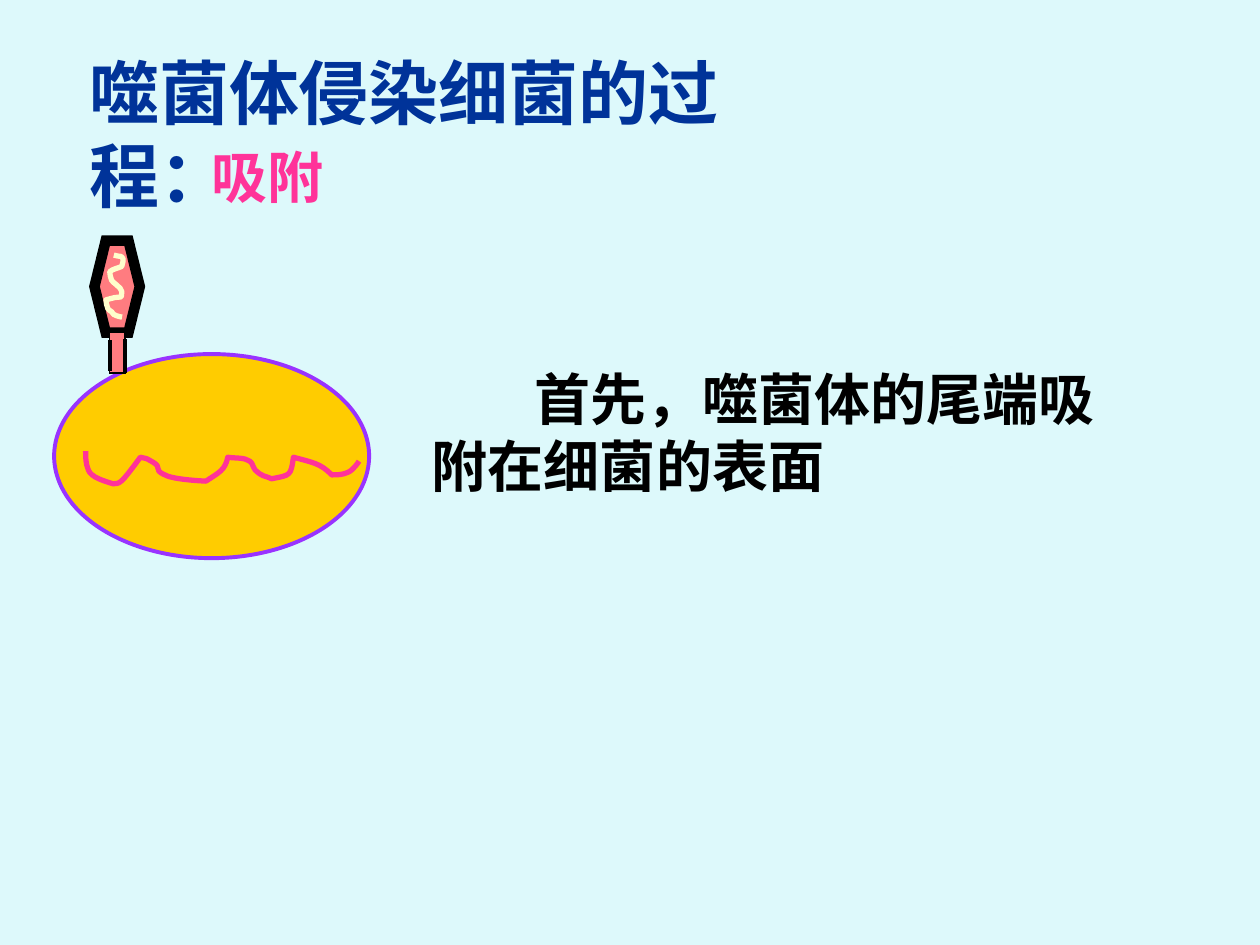
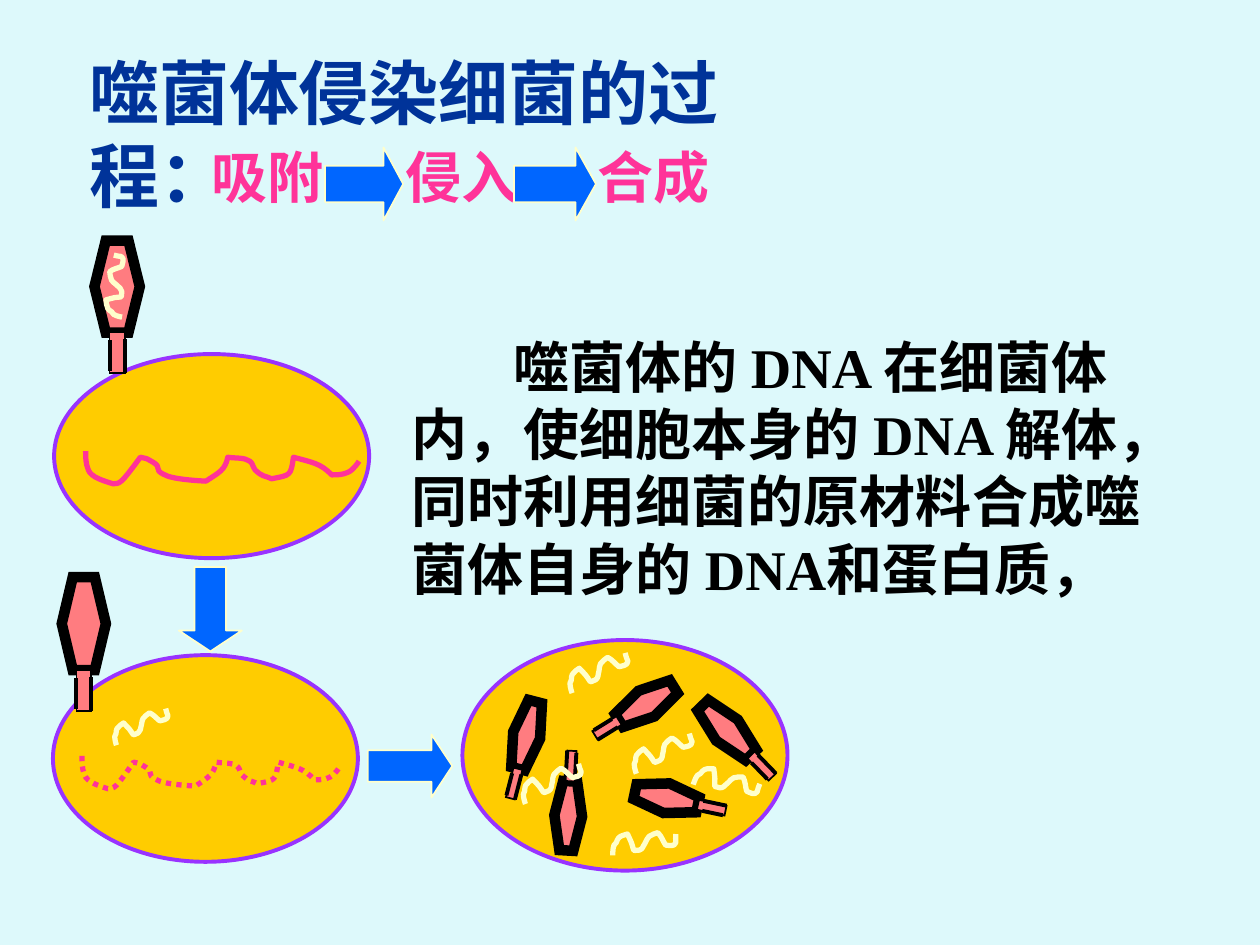
import math
from dataclasses import dataclass

import lxml.etree
import pptx
import pptx.dml.color
import pptx.enum.dml
import pptx.enum.shapes
import pptx.enum.text
import pptx.oxml.ns
import pptx.util
from pptx.util import Inches

SHAPES = pptx.enum.shapes.MSO_SHAPE
FONT = "Times New Roman"
BACKGROUND, TITLE_BLUE, PINK, BLACK = "DDF9FB", "003399", "FF3399", "000000"
CELL_YELLOW, MEMBRANE, PROTEIN = "FFCC00", "9933FF", "FF7C80"
ARROW_BLUE, CREAM = "0066FF", "FFFFCC"
BODY_INDENT = 0.81

# Bezier points as fractions of the strand's box: a start, then three per curve.
PHAGE_STRAND = [
    (0, 0.64),
    (0.01, 0.52), (0.02, 0.34), (0.02, 0.22),
    (0.05, 0), (0.14, 0.15), (0.18, 0.17),
    (0.21, 0.37), (0.22, 0.63), (0.27, 0.84),
    (0.31, 0.8), (0.37, 0.82), (0.41, 0.72),
    (0.43, 0.67), (0.46, 0.55), (0.48, 0.44),
    (0.53, 0.27), (0.53, 0.15), (0.59, 0.12),
    (0.71, 0.17), (0.66, 0.02), (0.69, 0.54),
    (0.7, 0.68), (0.73, 1), (0.73, 1),
    (0.77, 0.96), (0.83, 0.99), (0.87, 0.88),
    (0.89, 0.89), (0.9, 0.71), (0.92, 0.66),
    (0.94, 0.6), (0.96, 0.55), (0.96, 0.55),
    (0.99, 0.37), (1, 0.06), (1, 0.06),
]
BACTERIUM_STRAND = [
    (0, 0),
    (0, 0.19), (0, 0.38), (0.01, 0.58),
    (0.02, 0.81), (0.07, 0.92), (0.1, 1),
    (0.11, 1), (0.12, 1), (0.13, 0.92),
    (0.14, 0.88), (0.19, 0.31), (0.2, 0.19),
    (0.22, 0.23), (0.23, 0.23), (0.24, 0.31),
    (0.29, 0.54), (0.24, 0.54), (0.29, 0.73),
    (0.32, 0.88), (0.44, 0.92), (0.44, 0.92),
    (0.49, 0.65), (0.51, 0.58), (0.52, 0.19),
    (0.55, 0.23), (0.58, 0.19), (0.6, 0.31),
    (0.61, 0.35), (0.61, 0.46), (0.62, 0.58),
    (0.65, 0.81), (0.65, 0.73), (0.68, 0.85),
    (0.75, 0.73), (0.75, 0.77), (0.76, 0.19),
    (0.83, 0.35), (0.86, 0.38), (0.9, 0.73),
    (0.92, 0.73), (0.94, 0.73), (0.96, 0.65),
    (0.98, 0.58), (1, 0.31), (1, 0.31),
]


@dataclass
class Box:
    left: float
    top: float
    width: float
    height: float
    rotation: float = 0

    def lengths(self) -> list:
        return [Inches(v) for v in (self.left, self.top, self.width, self.height)]

    def point(self, across: float, down: float) -> tuple[float, float]:
        """Slide position of a fraction of the box, with rotation applied."""
        x, y = (across - 0.5) * self.width, (down - 0.5) * self.height
        angle = math.radians(self.rotation)
        return (self.left + self.width / 2 + x * math.cos(angle) - y * math.sin(angle),
                self.top + self.height / 2 + x * math.sin(angle) + y * math.cos(angle))


@dataclass
class Strand:
    box: Box
    fill: str | None = None


@dataclass
class Bacterium:
    body: Box
    phage: Box
    dna: Box
    phage_strand: Strand
    dissolving: bool = False


@dataclass
class Arrow:
    kind: SHAPES
    box: Box
    head: float


ADSORBED = Bacterium(Box(0.43, 2.81, 2.5, 1.62), Box(0.75, 1.91, 0.36, 0.73),
                     Box(0.68, 3.58, 2.17, 0.26),
                     Strand(Box(0.67, 2.2, 0.49, 0.14, 91.8), PROTEIN))
INVADED = Bacterium(Box(0.42, 5.2, 2.42, 1.64), Box(0.49, 4.58, 0.35, 0.74),
                    Box(0.65, 6, 2.05, 0.26),
                    Strand(Box(0.87, 5.68, 0.48, 0.14, 152.9)), dissolving=True)
SYNTHESIS_BODY = Box(3.67, 5.08, 2.58, 1.83)
NEW_PHAGES = [
    Box(4.07, 5.56, 0.22, 0.55, 14.4),
    Box(5.17, 6.08, 0.24, 0.51, 281.9),
    Box(5.65, 5.52, 0.24, 0.55, 316),
    Box(4.4, 6.2, 0.22, 0.55, 183.2),
    Box(5.01, 5.33, 0.24, 0.51, 58.3),
]
NEW_STRANDS = [Strand(Box(left, top, 0.52, 0.16, rotation)) for left, top, rotation in [
    (4.48, 5.24, 152.9), (4.99, 5.88, 152.9), (4.85, 6.6, 171.4),
    (5.51, 6.12, 189.4), (4.11, 6.12, 152.9)]]
ARROWS = [
    Arrow(SHAPES.RIGHT_ARROW, Box(2.58, 1.17, 0.62, 0.58), 0.27),
    Arrow(SHAPES.RIGHT_ARROW, Box(4.08, 1.17, 0.65, 0.58), 0.28),
    Arrow(SHAPES.DOWN_ARROW, Box(1.42, 4.5, 0.5, 0.67), 0.33),
    Arrow(SHAPES.RIGHT_ARROW, Box(2.92, 5.83, 0.67, 0.5), 0.33),
]
STAGES = [("吸附", 1.58), ("侵入", 3.12), ("合成", 4.64)]


def color(value: str) -> pptx.dml.color.RGBColor:
    return pptx.dml.color.RGBColor.from_string(value)


def style(shape, fill: str | None, line: str, width: float) -> None:
    shape.shadow.inherit = False
    if fill:
        shape.fill.solid()
        shape.fill.fore_color.rgb = color(fill)
    else:
        shape.fill.background()
    shape.line.color.rgb = color(line)
    shape.line.width = pptx.util.Pt(width)


def add_shape(slide, kind: SHAPES, box: Box, fill: str, line: str, width: float):
    shape = slide.shapes.add_shape(kind, *box.lengths())
    shape.rotation = box.rotation
    style(shape, fill, line, width)
    return shape


def sharpen_corners(shape) -> None:
    outline = shape.line._get_or_add_ln()
    lxml.etree.SubElement(outline, pptx.oxml.ns.qn("a:miter"), lim="800000")


def add_line(slide, start: tuple[float, float], end: tuple[float, float]) -> None:
    line = slide.shapes.add_connector(pptx.enum.shapes.MSO_CONNECTOR.STRAIGHT,
                                      *(Inches(v) for v in (*start, *end)))
    line.line.color.rgb = color(BLACK)
    line.line.width = pptx.util.Pt(2.25)
    properties = line._element.spPr
    lxml.etree.SubElement(properties, pptx.oxml.ns.qn("a:effectLst"))


def bend_segments(shape) -> None:
    """Turn each three straight segments of a freeform into one cubic Bezier."""
    segments = list(shape._element.iter(pptx.oxml.ns.qn("a:lnTo")))
    outline = segments[0].getparent()
    for first in range(0, len(segments), 3):
        curve = lxml.etree.SubElement(outline, pptx.oxml.ns.qn("a:cubicBezTo"))
        for segment in segments[first:first + 3]:
            curve.append(segment[0])
            outline.remove(segment)


def add_strand(slide, strand: Strand, points: list, line: str):
    box = strand.box
    start, *rest = [(Inches(box.left + across * box.width), Inches(box.top + down * box.height))
                    for across, down in points]
    builder = slide.shapes.build_freeform(*start)
    builder.add_line_segments(rest, close=False)
    shape = builder.convert_to_shape()
    bend_segments(shape)
    shape.rotation = box.rotation
    style(shape, strand.fill, line, 3)
    return shape


def add_phage(slide, capsid: Box) -> None:
    """Draw the capsid and, below it along its axis, a tail with two side lines."""
    sharpen_corners(add_shape(slide, SHAPES.HEXAGON, capsid, PROTEIN, BLACK, 6))
    width, height = capsid.width / 3, capsid.height * 0.44
    center_x, center_y = capsid.point(0.5, 1.22)
    tail = Box(center_x - width / 2, center_y - height / 2, width, height, capsid.rotation)
    sharpen_corners(add_shape(slide, SHAPES.RECTANGLE, tail, PROTEIN, BLACK, 1))
    for side, start, end in [(0, 0.19, 0.94), (1, 0.16, 1)]:
        add_line(slide, tail.point(side, start), tail.point(side, end))


def add_body(slide, box: Box) -> None:
    add_shape(slide, SHAPES.OVAL, box, CELL_YELLOW, MEMBRANE, 2.25)


def add_bacterium(slide, bacterium: Bacterium) -> None:
    add_body(slide, bacterium.body)
    add_phage(slide, bacterium.phage)
    add_strand(slide, bacterium.phage_strand, PHAGE_STRAND, CREAM)
    dna = add_strand(slide, Strand(bacterium.dna), BACTERIUM_STRAND, PINK)
    if bacterium.dissolving:
        dna.line.dash_style = pptx.enum.dml.MSO_LINE.ROUND_DOT


def add_synthesis(slide) -> None:
    add_body(slide, SYNTHESIS_BODY)
    for phage in NEW_PHAGES:
        add_phage(slide, phage)
    for strand in NEW_STRANDS:
        add_strand(slide, strand, PHAGE_STRAND, CREAM)


def add_arrow(slide, arrow: Arrow) -> None:
    shape = add_shape(slide, arrow.kind, arrow.box, ARROW_BLUE, CREAM, 1)
    shape.adjustments[0] = 0.5
    shape.adjustments[1] = arrow.head


def add_text(slide, text: str, box: Box, size: float, ink: str,
             wrap: bool = True, indent: float = 0) -> None:
    frame = slide.shapes.add_textbox(*box.lengths()).text_frame
    frame.word_wrap = wrap
    frame.auto_size = pptx.enum.text.MSO_AUTO_SIZE.SHAPE_TO_FIT_TEXT
    paragraph = frame.paragraphs[0]
    paragraph.text = text
    properties = paragraph._p.get_or_add_pPr()
    properties.set("hangingPunct", "0")
    if indent:
        properties.set("indent", str(Inches(indent)))
    paragraph.font.name = FONT
    paragraph.font.size = pptx.util.Pt(size)
    paragraph.font.bold = True
    paragraph.font.color.rgb = color(ink)


def add_body_text(slide, text: str, box: Box) -> None:
    add_text(slide, text, box, 32, BLACK, indent=BODY_INDENT)


def add_process_slide(presentation, stage_count: int):
    """Add a slide with the shared title and the first stage names."""
    slide = presentation.slides.add_slide(presentation.slide_layouts[6])
    slide.background.fill.solid()
    slide.background.fill.fore_color.rgb = color(BACKGROUND)
    add_text(slide, "噬菌体侵染细菌的过程：", Box(0.61, 0.34, 6.3, 0.77), 40, TITLE_BLUE, wrap=False)
    for name, left in STAGES[:stage_count]:
        add_text(slide, name, Box(left, 1.08, 1.21, 0.64), 32, PINK)
    return slide


def main() -> None:
    presentation = pptx.Presentation()
    presentation.slide_width, presentation.slide_height = Inches(10), Inches(7.5)

    adsorption = add_process_slide(presentation, 1)
    add_bacterium(adsorption, ADSORBED)
    add_body_text(adsorption, "首先，噬菌体的尾端吸附在细菌的表面", Box(3.33, 2.84, 5.58, 1.17))

    synthesis = add_process_slide(presentation, 3)
    add_synthesis(synthesis)
    add_bacterium(synthesis, INVADED)
    for arrow in ARROWS:
        add_arrow(synthesis, arrow)
    add_body_text(synthesis,
                  "噬菌体的 DNA 在细菌体内，使细胞本身的 DNA 解体，"
                  "同时利用细菌的原材料合成噬菌体自身的 DNA和蛋白质，",
                  Box(3.17, 2.59, 6.42, 2.24))
    add_bacterium(synthesis, ADSORBED)

    presentation.save("out.pptx")


if __name__ == "__main__":
    main()
